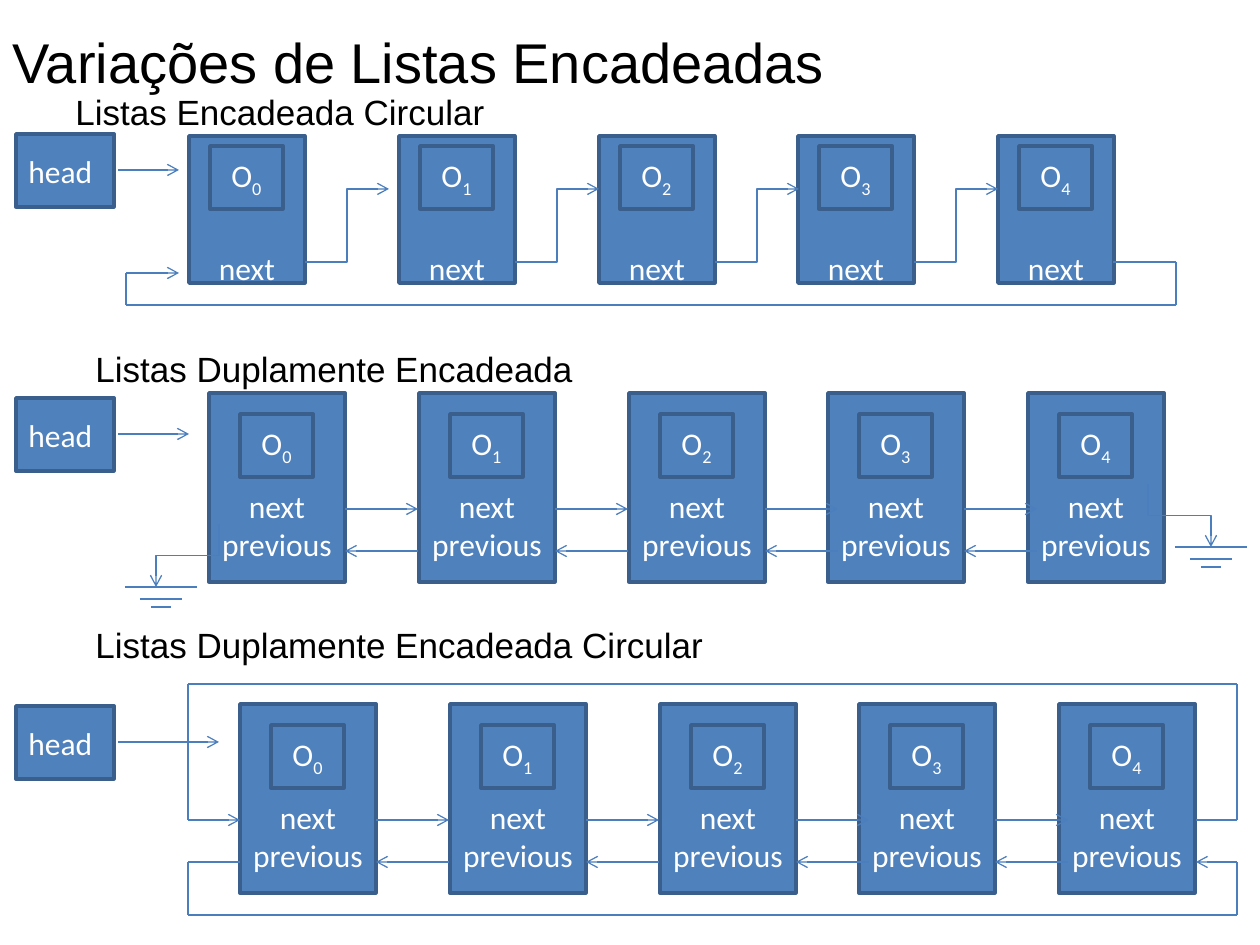
from dataclasses import dataclass
from itertools import pairwise

from lxml import etree
from pptx import Presentation
from pptx.dml.color import RGBColor
from pptx.enum.shapes import MSO_CONNECTOR, MSO_SHAPE
from pptx.enum.text import MSO_ANCHOR, MSO_AUTO_SIZE, PP_ALIGN
from pptx.oxml.ns import qn
from pptx.util import Emu, Pt

RECT = MSO_SHAPE.RECTANGLE
STRAIGHT, ELBOW = MSO_CONNECTOR.STRAIGHT, MSO_CONNECTOR.ELBOW
TOP, MIDDLE = MSO_ANCHOR.TOP, MSO_ANCHOR.MIDDLE
LEFT, CENTER = PP_ALIGN.LEFT, PP_ALIGN.CENTER
NO_FIT = MSO_AUTO_SIZE.NONE

BLUE = RGBColor(0x4F, 0x81, 0xBD)
BORDER = RGBColor(0x3A, 0x5F, 0x8C)
ARROW = RGBColor(0x4B, 0x7E, 0xBC)
WHITE = RGBColor(0xFF, 0xFF, 0xFF)
BLACK = RGBColor(0, 0, 0)

HEAD_LEFT, HEAD_W, HEAD_H = 16, 98, 73
CELL_W, CELL_H = 73, 63
ELBOW_W, ELBOW_H, LINK_W = 84, 73, 73
NEXT_DY, PREVIOUS_DY = 116, 158
GROUND_BARS = ((0, 73), (12, 42), (20, 21))

Point = tuple[int, int]


@dataclass(frozen=True)
class LinkedList:
    heading: str
    heading_at: Point
    head_top: int
    head_arrow_end: int
    node_at: Point
    node_size: Point
    steps: tuple[int, ...]
    cell_offset: Point
    label: str
    label_top: int
    double: bool
    loops: tuple[tuple[Point, ...], ...] = ()


@dataclass(frozen=True)
class Ground:
    start: Point
    end: Point
    rotation: int
    bar_at: Point


SINGLE_STEPS = (0, 210, 410, 609, 809)
DOUBLE_STEPS = (0, 210, 420, 619, 819)

LISTS = (
    LinkedList("Listas Encadeada Circular", (63, 84), 134, 179, (189, 136), (116, 147),
               SINGLE_STEPS, (21, 10), "next", 113, False,
               (((1113, 262), (1176, 262), (1176, 305), (126, 305), (126, 273), (179, 273)),)),
    LinkedList("Listas Duplamente Encadeada", (83, 341), 398, 189, (209, 393), (136, 189),
               DOUBLE_STEPS, (31, 21), "next\nprevious", 94, True),
    LinkedList("Listas Duplamente Encadeada Circular", (83, 617), 706, 219, (240, 704),
               (136, 189), DOUBLE_STEPS, (31, 21), "next\nprevious", 94, True,
               (((1196, 820), (1237, 820), (1237, 684), (188, 684), (188, 820), (240, 820)),
                ((240, 862), (188, 862), (188, 915), (1237, 915), (1237, 862), (1196, 862)))),
)

GROUNDS = (
    Ground((1211, 484), (1148, 547), 270, (1211, 547)),
    Ground((156, 524), (219, 587), 90, (161, 587)),
)


def px(n: int) -> Emu:
    return Emu(n * 914400 // 126)


def style_text(tf, font: str, size: int, color: RGBColor, align=LEFT) -> None:
    for p in tf.paragraphs:
        p.alignment = align
        for r in p.runs:
            r.font.name = font
            r.font.size = Pt(size)
            r.font.color.rgb = color


def add_box(shapes, at: Point, size: Point, text: str, align=CENTER):
    sp = shapes.add_shape(RECT, px(at[0]), px(at[1]), px(size[0]), px(size[1]))
    sp.shadow.inherit = False
    sp.fill.solid()
    sp.fill.fore_color.rgb = BLUE
    sp.line.color.rgb = BORDER
    sp.line.width = Pt(2)
    tf = sp.text_frame
    tf.text = text
    tf.vertical_anchor = MIDDLE
    style_text(tf, "Calibri", 18, WHITE, align)
    return sp


def add_cell(shapes, at: Point, index: int) -> None:
    tf = add_box(shapes, at, (CELL_W, CELL_H), "O").text_frame
    r = tf.paragraphs[0].add_run()
    r.text = str(index)
    style_text(tf, "Calibri", 18, WHITE, CENTER)
    r.font._element.set("baseline", "-25000")


def add_line(shapes, start: Point, end: Point, arrow: bool = False,
             kind=STRAIGHT, rotation: int = 0) -> None:
    c = shapes.add_connector(kind, px(start[0]), px(start[1]), px(end[0]), px(end[1]))
    c.line.color.rgb = ARROW
    c.line.width = Pt(0.75)
    spPr = c._element.spPr
    etree.SubElement(spPr, qn("a:effectLst"))
    if arrow:
        etree.SubElement(c.line._get_or_add_ln(), qn("a:tailEnd"), type="arrow")
    if rotation:
        spPr.find(qn("a:xfrm")).set("rot", str(rotation * 60000))


def add_loop(shapes, points: tuple[Point, ...]) -> None:
    for start, end in pairwise(points):
        add_line(shapes, start, end, arrow=end == points[-1])


def add_heading(shapes, at: Point, text: str) -> None:
    tf = shapes.add_textbox(px(at[0]), px(at[1]), px(1100), px(55)).text_frame
    tf.word_wrap = True
    tf.text = text
    style_text(tf, "Arial", 20, BLACK)


def add_links(shapes, lst: LinkedList, x: int) -> None:
    top = lst.node_at[1]
    if lst.double:
        add_line(shapes, (x, top + NEXT_DY), (x + LINK_W, top + NEXT_DY), True)
        add_line(shapes, (x + LINK_W, top + PREVIOUS_DY), (x, top + PREVIOUS_DY), True)
    else:
        y = top + 126
        add_line(shapes, (x, y), (x + ELBOW_W, y - ELBOW_H), True, ELBOW)


def add_list(shapes, lst: LinkedList) -> None:
    left, top = lst.node_at
    dx, dy = lst.cell_offset
    for i, step in enumerate(lst.steps):
        tf = add_box(shapes, (left + step, top), lst.node_size, lst.label).text_frame
        tf.vertical_anchor = TOP
        tf.margin_top = px(lst.label_top)
        tf.margin_bottom = 0
        tf.margin_left = tf.margin_right = px(6)
        add_cell(shapes, (left + step + dx, top + dy), i)
    for step in lst.steps[:-1]:
        add_links(shapes, lst, left + step + lst.node_size[0])
    add_heading(shapes, lst.heading_at, lst.heading)
    for points in lst.loops:
        add_loop(shapes, points)
    add_box(shapes, (HEAD_LEFT, lst.head_top), (HEAD_W, HEAD_H), "head", LEFT)
    y = lst.head_top + HEAD_H // 2
    add_line(shapes, (118, y), (lst.head_arrow_end, y), True)


def add_ground(shapes, g: Ground) -> None:
    add_line(shapes, g.start, g.end, True, ELBOW, g.rotation)
    x, y = g.bar_at
    for dy, width in GROUND_BARS:
        add_line(shapes, (x - width // 2, y + dy), (x + width // 2, y + dy))


prs = Presentation()
prs.slide_width, prs.slide_height = px(1260), px(945)
s = prs.slides.add_slide(prs.slide_layouts[5])

title = s.shapes.title
title.left, title.top, title.width, title.height = px(0), px(21), px(843), px(81)
tf = title.text_frame
tf.text = "Variações de Listas Encadeadas"
tf.word_wrap = False
tf.auto_size = NO_FIT
tf.vertical_anchor = TOP
style_text(tf, "Arial", 32, BLACK)

for lst in LISTS:
    add_list(s.shapes, lst)
for ground in GROUNDS:
    add_ground(s.shapes, ground)

prs.save("out.pptx")
